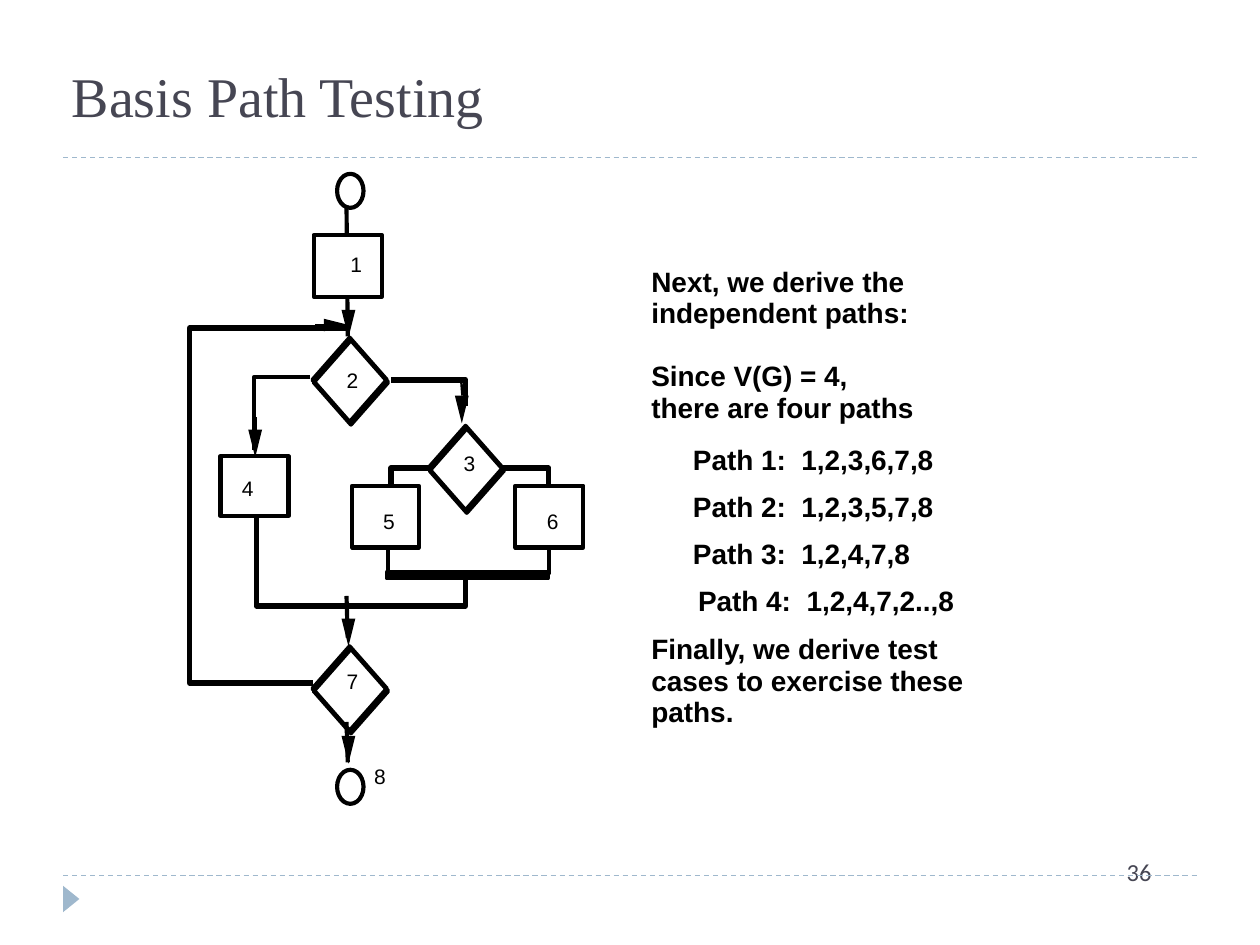
import itertools

import pptx
import pptx.dml.color
import pptx.enum.dml
import pptx.enum.shapes
import pptx.enum.text
import pptx.oxml
import pptx.util


class Theme:
    INK = pptx.dml.color.RGBColor.from_string("000000")
    PAPER = pptx.dml.color.RGBColor.from_string("FFFFFF")
    HEADING = pptx.dml.color.RGBColor.from_string("464653")
    ACCENT = pptx.dml.color.RGBColor.from_string("9FB8CD")
    TITLE_SIZE, BODY_SIZE, PAGE_SIZE, LABEL_SIZE = 32, 16, 14, 12
    HEAVY, WIRE, STEM, RULE = 3.1, 2.38, 1.39, 0.75


deck = pptx.Presentation()
deck.slide_width = pptx.util.Inches(10)
deck.slide_height = pptx.util.Inches(7.5)
page = deck.slides.add_slide(deck.slide_layouts[6])

# The page is a grid of 100 columns by 75 rows; all positions are in cells.
CELL = deck.slide_width // 100

PRESET = pptx.enum.shapes.MSO_SHAPE
ALIGN = pptx.enum.text.PP_ALIGN
ANCHOR = pptx.enum.text.MSO_ANCHOR


def add_text(text, bounds, size, font="Arial", color=Theme.INK, bold=False,
             align=ALIGN.LEFT, anchor=ANCHOR.TOP, inset=(0, 0), wrap=False,
             spacing=None, gaps=(), indents=()):
    """Write one paragraph per line of text; gaps (points) and indents (cells) go by line."""
    box = page.shapes.add_textbox(*[round(value * CELL) for value in bounds])
    frame = box.text_frame
    frame.word_wrap = wrap
    frame.vertical_anchor = anchor
    frame.margin_left = frame.margin_right = round(inset[0] * CELL)
    frame.margin_top = frame.margin_bottom = round(inset[1] * CELL)
    lines = itertools.zip_longest(text.split("\n"), gaps, indents, fillvalue=0)
    for number, (line, gap, indent) in enumerate(lines):
        para = frame.add_paragraph() if number else frame.paragraphs[0]
        para.alignment = align
        para.line_spacing = spacing
        if gap:
            para.space_before = pptx.util.Pt(gap)
        if indent:
            para._p.get_or_add_pPr().set("marL", str(round(indent * CELL)))
        span = para.add_run()
        span.text = line
        span.font.size = pptx.util.Pt(size)
        span.font.name = font
        span.font.bold = bold
        span.font.color.rgb = color


def add_preset(kind, bounds, fill=None, width=None, rotation=0):
    shape = page.shapes.add_shape(kind, *[round(value * CELL) for value in bounds])
    shape.shadow.inherit = False
    shape.rotation = rotation
    if fill is None:
        shape.fill.background()
    else:
        shape.fill.solid()
        shape.fill.fore_color.rgb = fill
    if width is None:
        shape.line.fill.background()
    else:
        shape.line.color.rgb = Theme.INK
        shape.line.width = pptx.util.Pt(width)


# Title, footer and body text
add_preset(PRESET.ISOSCELES_TRIANGLE, (4.6, 70.7, 2.1, 1.3), Theme.ACCENT, rotation=90)
add_text("36", (80.8, 67.5, 19.2, 5), Theme.PAGE_SIZE, font="Calibri",
         color=Theme.HEADING, align=ALIGN.CENTER, inset=(1, 0.5), wrap=True)
add_text("Basis Path Testing", (5, 3.35, 47.7, 7.2), Theme.TITLE_SIZE,
         font="Times New Roman", color=Theme.HEADING, anchor=ANCHOR.BOTTOM,
         inset=(0.7, 0.3), wrap=True)
add_text("Next, we derive the\n"
         "independent paths:\n"
         "Since V(G) = 4,\n"
         "there are four paths\n"
         "Path 1:  1,2,3,6,7,8\n"
         "Path 2:  1,2,3,5,7,8\n"
         "Path 3:  1,2,4,7,8\n"
         "Path 4:  1,2,4,7,2..,8\n"
         "Finally, we derive test\n"
         "cases to exercise these\n"
         "paths.",
         (51.7, 21.15, 26, 36.6), Theme.BODY_SIZE, bold=True, spacing=pptx.util.Pt(18),
         gaps=(0, 0, 18, 0, 12, 8.8, 8.8, 8.8, 9.5),
         indents=(0, 0, 0, 0, 3.3, 3.3, 3.3, 3.7))

# Decisions, start and end
for left, top in ((34, 33.8), (24.8, 26.8), (24.8, 51.3)):
    add_preset(PRESET.DIAMOND, (left + 0.1, top + 0.2, 5.9, 6.7), Theme.PAPER, Theme.WIRE)
    add_preset(PRESET.DIAMOND, (left, top, 5.9, 6.7), width=Theme.WIRE)
for top in (13.8, 61.1):
    add_preset(PRESET.OVAL, (26.75, top, 2.1, 2.7), Theme.PAPER, Theme.WIRE)

# Bent wires
wires = [
    (Theme.HEAVY, [(31.05, 30.15), (36.95, 30.15), (36.95, 32.25)]),
    (Theme.WIRE, [(24.6, 29.95), (20.15, 29.95), (20.15, 35.7)]),
    (Theme.HEAVY, [(39.95, 37.15), (43.55, 37.15), (43.55, 40.55)]),
    (Theme.HEAVY, [(34.35, 37.15), (31.05, 37.15), (31.05, 41.45)]),
    (Theme.WIRE, [(30.8, 43.6), (30.8, 45.5), (43.6, 45.5), (43.6, 43.6)]),
    (Theme.HEAVY, [(24.85, 54.2), (15.05, 54.2), (15.05, 26.05), (27.75, 26.05)]),
    (Theme.HEAVY, [(36.95, 45.9), (36.95, 48.1), (20.35, 48.1), (20.35, 40.85)]),
]
for width, points in wires:
    start, *bends = [(round(x * CELL), round(y * CELL)) for x, y in points]
    builder = page.shapes.build_freeform(*start)
    builder.add_line_segments(bends, close=False)
    wire = builder.convert_to_shape()
    wire.shadow.inherit = False
    wire.fill.background()
    wire.line.color.rgb = Theme.INK
    wire.line.width = pptx.util.Pt(width)
add_preset(PRESET.RECTANGLE, (30.7, 45.4, 12.8, 0.5), Theme.INK, Theme.WIRE)

# Straight lines: page rules, flow lines and arrow stems
rules = [(5, y, 95, y) for y in (12.5, 69.5)]
flow_lines = [(27.5, 16.3, 27.6, 26.7), (27.5, 47.3, 27.6, 50.6), (27.5, 57.3, 27.6, 60.5)]
stems = [(25, 25.8, 25.7, 25.8), (36.6, 30.1, 36.7, 31.4), (20.3, 33.1, 20.3, 34.1)]
for group, color, width, dash in (
        (rules, Theme.ACCENT, Theme.RULE, pptx.enum.dml.MSO_LINE.DASH),
        (flow_lines, Theme.INK, Theme.WIRE, None),
        (stems, Theme.INK, Theme.STEM, None)):
    for ends in group:
        line = page.shapes.add_connector(
            pptx.enum.shapes.MSO_CONNECTOR.STRAIGHT, *[round(value * CELL) for value in ends])
        line.line.color.rgb = color
        line.line.width = pptx.util.Pt(width)
        line.line.dash_style = dash
        line._element.spPr.append(pptx.oxml.parse_xml(
            '<a:effectLst xmlns:a="http://schemas.openxmlformats.org/drawingml/2006/main"/>'))

# Process boxes cover the wires that run behind them
for left, top, width, height in ((24.9, 18.65, 5.4, 4.9), (27.95, 38.55, 5.3, 4.9),
                                 (40.9, 38.55, 5.4, 4.9), (17.5, 36.2, 5.4, 4.75)):
    add_preset(PRESET.RECTANGLE, (left, top, width, height), Theme.PAPER, Theme.WIRE)

# Arrowheads
add_preset(PRESET.ISOSCELES_TRIANGLE, (26.2, 24.8, 1, 2), Theme.INK, rotation=90)
for left, top in ((36.1, 31.4), (19.7, 34.1), (27.1, 49.1), (27.1, 24.6), (27.1, 58.4)):
    add_preset(PRESET.ISOSCELES_TRIANGLE, (left, top, 1.1, 2.2), Theme.INK, rotation=180)

# Node numbers
places = [(27.8, 20.2), (27.5, 29.4), (36.8, 36), (19.2, 38),
          (30.4, 40.6), (43.4, 40.6), (27.5, 53.3), (29.7, 60.8)]
for number, (left, top) in enumerate(places, start=1):
    add_text(str(number), (left, top, 0.9, 1.8), Theme.LABEL_SIZE, spacing=0.9)

deck.save("out.pptx")
